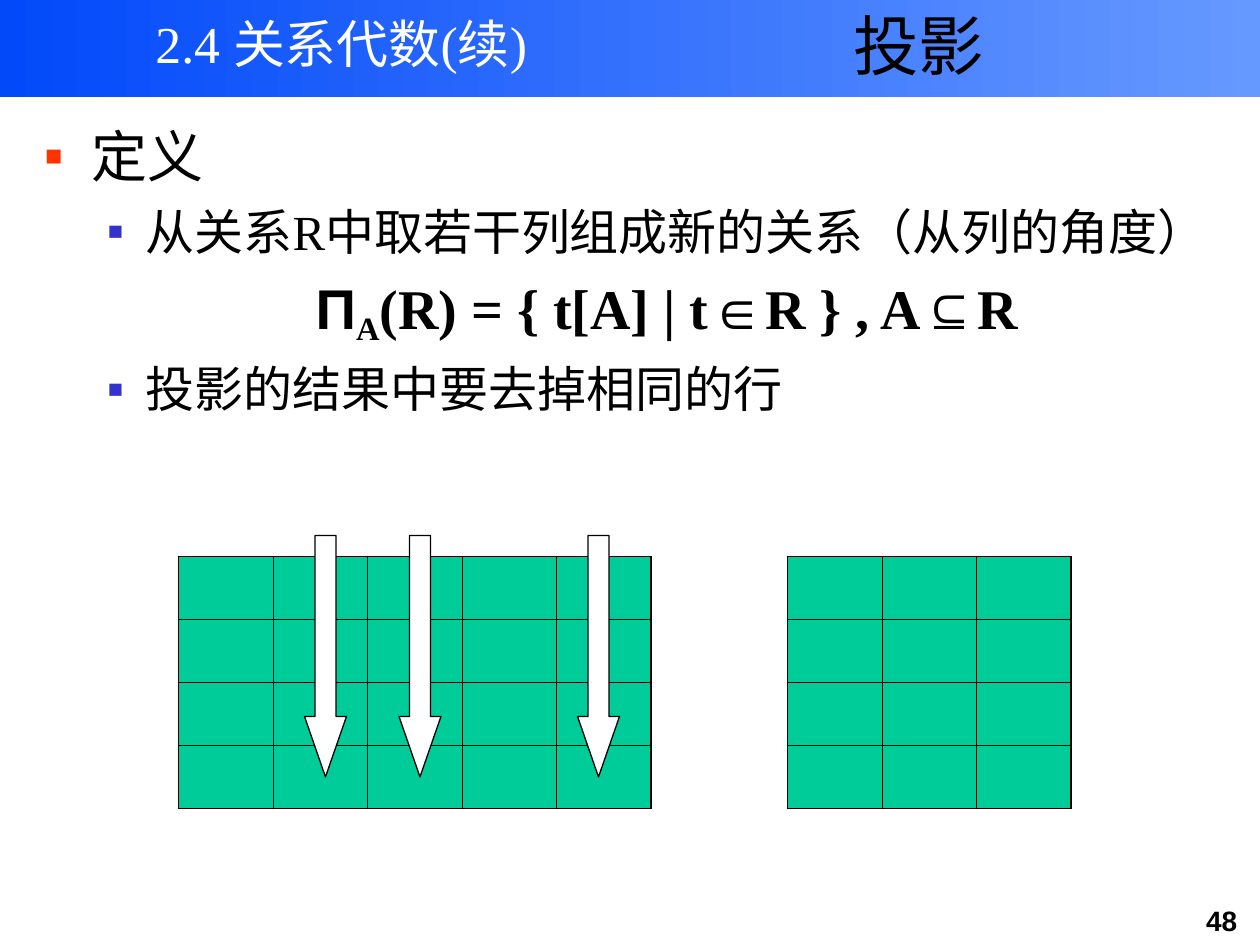
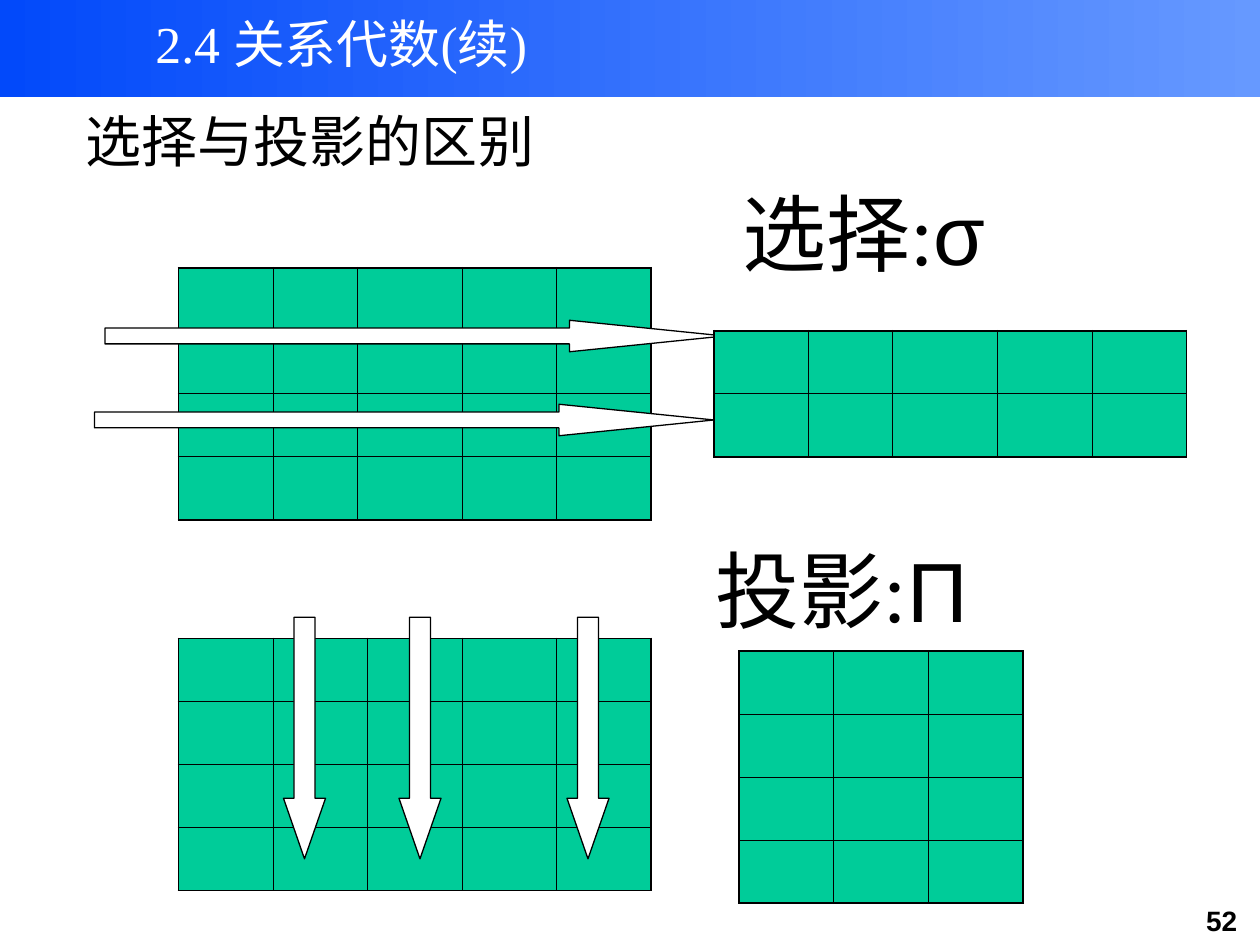
from lxml import etree
from pptx import Presentation
from pptx import util as u
from pptx.dml.color import RGBColor
from pptx.enum import shapes, text
from pptx.oxml.ns import qn

# Shared style
BAND_DARK = RGBColor(0x02, 0x49, 0xFA)
BAND_LIGHT = RGBColor(0x66, 0x99, 0xFF)
WHITE = RGBColor(0xFF, 0xFF, 0xFF)
BLACK = RGBColor(0x00, 0x00, 0x00)
GREEN = RGBColor(0x00, 0xCC, 0x99)
RED_BULLET = RGBColor(0xFF, 0x33, 0x00)
BLUE_BULLET = RGBColor(0x33, 0x33, 0xCC)
SERIF, SANS = "Times New Roman", "Arial"
CENTER = text.PP_ALIGN.CENTER
TOP, MIDDLE, BOTTOM = (text.MSO_ANCHOR.TOP, text.MSO_ANCHOR.MIDDLE,
                       text.MSO_ANCHOR.BOTTOM)
OUTER_LINE, INNER_LINE = 1.08, 0.45

# The grid has 120 columns and 90 rows on a 10 by 7.5 inch slide
COLUMNS, ROWS = 120, 90
CELL = 9, 6
UNEVEN_COLUMNS = [9, 8, 10, 9, 9]


def write(paragraph, words, size=32, font=SERIF, color=BLACK, bold=False, baseline=0):
    """Add one formatted run to a paragraph."""
    run = paragraph.add_run()
    run.text = words
    run.font.size = u.Pt(size)
    run.font.name = font
    run.font.bold = bold
    run.font.color.rgb = color
    if baseline:
        run.font._rPr.set("baseline", str(baseline * 1000))


def set_indent(paragraph, margin, hanging, bullet=None):
    """Give a paragraph a hanging indent and, with a colour, a square bullet."""
    props = paragraph._p.get_or_add_pPr()
    props.set("marL", str(u.Inches(margin)))
    props.set("indent", str(-u.Inches(hanging)))
    if bullet is None:
        etree.SubElement(props, qn("a:buNone"))
        return
    tint = etree.SubElement(props, qn("a:buClr"))
    etree.SubElement(tint, qn("a:srgbClr"), val=str(bullet))
    etree.SubElement(props, qn("a:buFont"), typeface=SANS)
    etree.SubElement(props, qn("a:buChar"), char="▪")


def set_border(cell, side, width):
    line = etree.SubElement(cell._tc.get_or_add_tcPr(), qn(f"a:ln{side}"),
                            w=str(u.Pt(width)))
    solid = etree.SubElement(line, qn("a:solidFill"))
    etree.SubElement(solid, qn("a:srgbClr"), val=str(BLACK))


class Deck:
    """Holds the presentation, its grid and the current slide."""

    def __init__(self):
        self.prs = Presentation()
        self.prs.slide_width, self.prs.slide_height = u.Inches(10), u.Inches(7.5)
        self.slide = None

    def across(self, columns):
        return round(self.prs.slide_width * columns / COLUMNS)

    def down(self, rows):
        return round(self.prs.slide_height * rows / ROWS)

    def area(self, left, top, width, height):
        return (self.across(left), self.down(top),
                self.across(width), self.down(height))

    def new_slide(self, number):
        """Start a slide with the band, page number and chapter title."""
        self.slide = self.prs.slides.add_slide(self.prs.slide_layouts[6])
        band = self.shape(shapes.MSO_SHAPE.RECTANGLE, 0, 0, COLUMNS, 9.24)
        band.line.fill.background()
        band.fill.gradient()
        band.fill.gradient_angle = 0
        for stop, color, position in zip(band.fill.gradient_stops,
                                         (BAND_DARK, BAND_LIGHT), (0, 1)):
            stop.color.rgb, stop.position = color, position
        self.label(number, 112.7, 85.5, 7.3, 4.5, align=CENTER,
                   size=16, font=SANS, bold=True)
        self.label("2.4 关系代数(续)", 11, 0.1, 43, 8, align=CENTER,
                   anchor=MIDDLE, size=29.6, color=WHITE)

    def shape(self, kind, *place):
        shape = self.slide.shapes.add_shape(kind, *self.area(*place))
        shape.shadow.inherit = False
        return shape

    def frame(self, *place, anchor=TOP):
        frame = self.slide.shapes.add_textbox(*self.area(*place)).text_frame
        frame.word_wrap = True
        frame.vertical_anchor = anchor
        return frame

    def label(self, words, *place, align=None, anchor=TOP, symbol="", **style):
        """Write one line, with an optional sans symbol after it."""
        paragraph = self.frame(*place, anchor=anchor).paragraphs[0]
        paragraph.alignment = align
        write(paragraph, words, **style)
        if symbol:
            write(paragraph, symbol, **{**style, "font": SANS})

    def arrow(self, kind, *place, head):
        arrow = self.shape(kind, *place)
        arrow.adjustments[0], arrow.adjustments[1] = 0.5, head
        arrow.fill.solid()
        arrow.fill.fore_color.rgb = WHITE
        arrow.line.color.rgb = BLACK
        arrow.line.width = u.Pt(0.75)

    def column_arrows(self, top, lefts):
        for left in lefts:
            self.arrow(shapes.MSO_SHAPE.DOWN_ARROW, left, top, 4, 23, head=1.44)

    def relation(self, left, top, widths, count):
        """Draw an empty relation as a green table."""
        place = self.area(left, top, sum(widths), count * CELL[1])
        table = self.slide.shapes.add_table(count, len(widths), *place).table
        table.first_row = table.horz_banding = False
        for column, width in zip(table.columns, widths):
            column.width = self.across(width)
        for r, row in enumerate(table.rows):
            row.height = self.down(CELL[1])
            for c, cell in enumerate(row.cells):
                edges = {"L": c == 0, "R": c == len(widths) - 1,
                         "T": r == 0, "B": r == count - 1}
                for side, outer in edges.items():
                    set_border(cell, side, OUTER_LINE if outer else INNER_LINE)
                cell.fill.solid()
                cell.fill.fore_color.rgb = GREEN


def projection_slide(deck):
    deck.new_slide("48")
    deck.label("投影", 72.5, 0, 30, 8.6, align=CENTER, anchor=BOTTOM, size=37.4)

    # Definition
    body = deck.frame(3, 11, 115, 32)
    definition = body.paragraphs[0]
    set_indent(definition, 0.38, 0.38, RED_BULLET)
    write(definition, "定义")
    meaning, formula, result = (body.add_paragraph() for _ in range(3))
    for paragraph, bullet, gap in ((meaning, BLUE_BULLET, 7), (formula, None, 8),
                                   (result, BLUE_BULLET, 7)):
        paragraph.level = 1
        set_indent(paragraph, 0.81, 0.31, bullet)
        paragraph.space_before = u.Pt(gap)
    write(meaning, "从关系R中取若干列组成新的关系（从列的角度）", size=28)
    write(result, "投影的结果中要去掉相同的行", size=28)

    # Formula
    formula.alignment = CENTER
    for words, font, baseline in (
            ("Π", SANS, 0), ("A", SERIF, -18), ("(R) = { t[A] | t", SERIF, 0),
            ("∈", SANS, 0), ("R } , A", SERIF, 0), ("⊆", SANS, 0), ("R", SERIF, 0)):
        write(formula, words, font=font, bold=True, baseline=baseline)

    # Columns picked from the relation, and the result
    deck.relation(17, 53, [CELL[0]] * 5, 4)
    deck.column_arrows(51, (29, 38, 55))
    deck.relation(75, 53, [CELL[0]] * 3, 4)


def comparison_slide(deck):
    deck.new_slide("52")

    # Projection picks columns
    deck.relation(17, 60.8, [CELL[0]] * 5, 4)
    deck.relation(70.4, 62, [CELL[0]] * 3, 4)
    deck.column_arrows(58.8, (27, 38, 54))

    # Selection picks rows
    deck.relation(17, 25.5, UNEVEN_COLUMNS, 4)
    for left, top in ((10, 30.5), (9, 38.5)):
        deck.arrow(shapes.MSO_SHAPE.RIGHT_ARROW, left, top, 59, 3, head=4.92)
    deck.relation(68, 31.5, UNEVEN_COLUMNS, 2)

    # Headings
    deck.label("选择与投影的区别", 7, 9.6, 48, 7.7)
    deck.label("选择:", 69.5, 16.7, 34, 10.8, symbol="σ", size=48)
    deck.label("投影:", 67, 50.7, 34, 10.8, symbol="Π", size=48)


def main():
    deck = Deck()
    projection_slide(deck)
    comparison_slide(deck)
    deck.prs.save("out.pptx")


if __name__ == "__main__":
    main()
